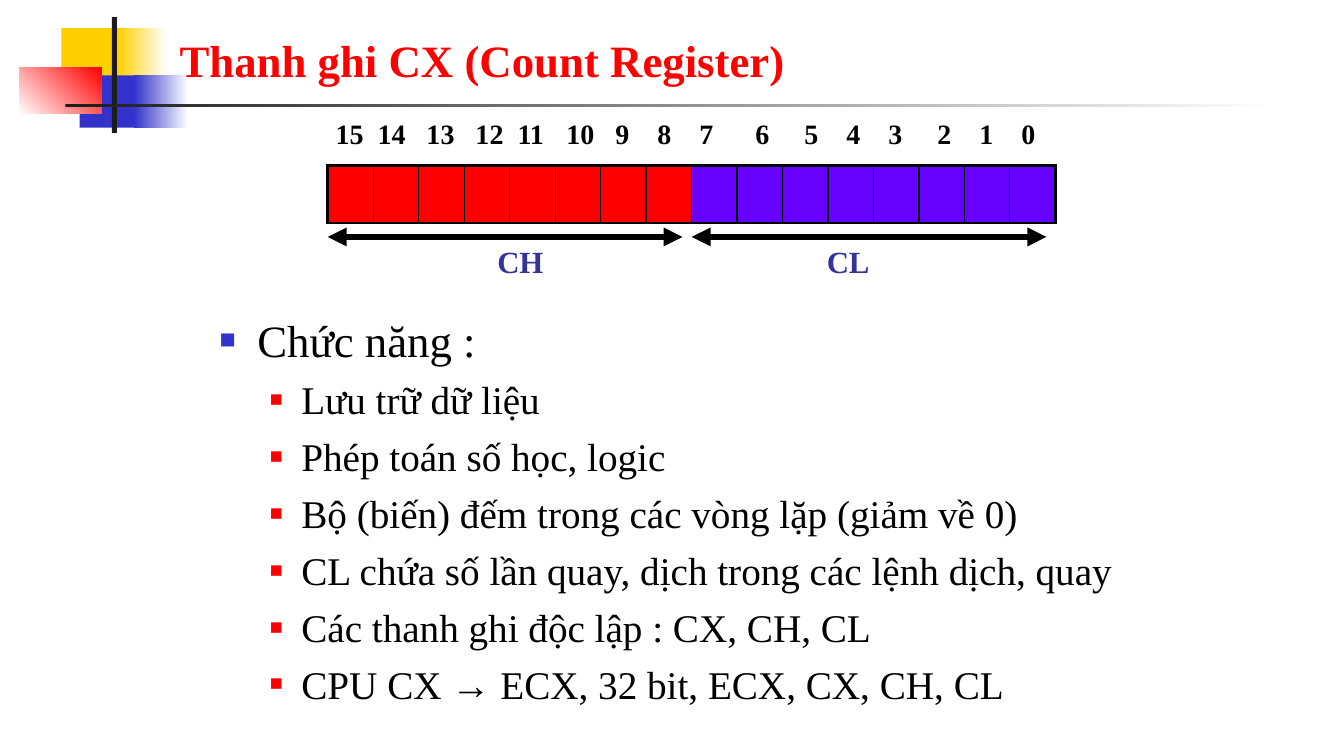
from dataclasses import dataclass
from lxml import etree
from pptx import Presentation
from pptx.dml.color import RGBColor
from pptx.enum import shapes, text
from pptx.oxml.ns import qn
from pptx.util import Cm, Pt

TITLE = "Thanh ghi CX (Count Register)"
BODY = [
    (0, "Chức năng :"),
    (1, "Lưu trữ dữ liệu"),
    (1, "Phép toán số học, logic"),
    (1, "Bộ (biến) đếm trong các vòng lặp (giảm về 0)"),
    (1, "CL chứa số lần quay, dịch trong các lệnh dịch, quay"),
    (1, "Các thanh ghi độc lập : CX, CH, CL"),
    (1, "CPU CX → ECX, 32 bit, ECX, CX, CH, CL"),
]
BIT_COLUMNS = {15: 1, 14: 7, 13: 14, 12: 21, 11: 27, 10: 34, 9: 41, 8: 47,
               7: 53, 6: 61, 5: 68, 4: 74, 3: 80, 2: 87, 1: 93, 0: 99}
HALVES = [("CH", 10.36), ("CL", 18.62)]


@dataclass(frozen=True)
class Theme:
    font: str = "Times New Roman"
    black: str = "000000"
    white: str = "FFFFFF"
    red: str = "FF0000"
    yellow: str = "FFCF01"
    blue: str = "3333CC"
    violet: str = "6600FF"
    label: str = "333399"
    dark: str = "1C1C1C"
    title_size: int = 32
    level_sizes: tuple = (32, 28)
    bit_size: int = 20
    label_size: int = 22


T = Theme()
LEVELS = [(0.95, -0.95, T.blue, 60), (2.06, -0.79, T.red, 55)]
DECOR = [
    ((1.55, 0.71, 1.63, 1.32), (T.yellow,), 0),
    ((2.97, 0.71, 1.22, 1.32), (T.yellow, T.white), 0),
    ((2.01, 1.9, 1.57, 1.32), (T.blue,), 0),
    ((3.38, 1.9, 1.37, 1.32), (T.blue, T.white), 0),
    ((0.48, 1.7, 2.08, 1.17), (T.white, T.red), 45),
    ((2.82, 0.43, 0.13, 2.92), (T.dark,), 0),
    ((1.65, 2.62, 30.48, 0.08), (T.dark, T.white), 0),
]
REG_LEFT, REG_TOP, REG_WIDTH, REG_HEIGHT = 8.26, 4.17, 18.34, 1.45
ARROW_Y, ARROW_LENGTH = 5.97, 8.94
THIN, THICK = 1, 2.25


def rgb(value):
    return RGBColor.from_string(value)


def sub(parent, tag, **attrs):
    return etree.SubElement(parent, qn(tag), {k: str(v) for k, v in attrs.items()})


def add_run(p, words, size, color, bold=False):
    r = p.add_run()
    r.text = words
    r.font.name = T.font
    r.font.size = Pt(size)
    r.font.bold = bold
    r.font.color.rgb = rgb(color)


def place(sp, left, top, width, height):
    sp.left, sp.top, sp.width, sp.height = map(Cm, (left, top, width, height))


def add_label_box(s, box):
    tf = s.shapes.add_textbox(*map(Cm, box)).text_frame
    tf.word_wrap = True
    return tf.paragraphs[0]


def add_decor(s):
    for box, colors, angle in DECOR:
        sp = s.shapes.add_shape(shapes.MSO_SHAPE.RECTANGLE, *map(Cm, box))
        sp.shadow.inherit = False
        sp.line.fill.background()
        if len(colors) == 1:
            sp.fill.solid()
            sp.fill.fore_color.rgb = rgb(colors[0])
        else:
            sp.fill.gradient()
            sp.fill.gradient_angle = angle
            for stop, color in zip(sp.fill.gradient_stops, colors):
                stop.color.rgb = rgb(color)
        s.shapes.title.element.addprevious(sp.element)


def add_title(s):
    title = s.shapes.title
    place(title, 4.27, 0.58, 28.85, 1.73)
    tf = title.text_frame
    tf.auto_size = text.MSO_AUTO_SIZE.NONE
    tf.vertical_anchor = text.MSO_ANCHOR.BOTTOM
    tf.paragraphs[0].alignment = text.PP_ALIGN.LEFT
    add_run(tf.paragraphs[0], TITLE, T.title_size, T.red, True)


def add_body(s):
    body = s.placeholders[1]
    place(body, 5.28, 7.74, 23.83, 10.59)
    tf = body.text_frame
    tf.auto_size = text.MSO_AUTO_SIZE.NONE
    for i, (level, words) in enumerate(BODY):
        p = tf.add_paragraph() if i else tf.paragraphs[0]
        margin, indent, color, percent = LEVELS[level]
        pPr = p._p.get_or_add_pPr()
        pPr.set("marL", str(Cm(margin)))
        pPr.set("indent", str(Cm(indent)))
        sub(sub(pPr, "a:buClr"), "a:srgbClr", val=color)
        sub(pPr, "a:buSzPct", val=percent * 1000)
        sub(pPr, "a:buFont", typeface=T.font)
        sub(pPr, "a:buChar", char="■")
        p.level = level
        p.space_before = Pt(7 if i else 0)
        add_run(p, words, T.level_sizes[level], T.black)


def add_register(s):
    count = len(BIT_COLUMNS)
    frame = s.shapes.add_table(1, count, *map(Cm, (REG_LEFT, REG_TOP, REG_WIDTH, REG_HEIGHT)))
    table = frame.table
    table.first_row = table.horz_banding = False
    for i, column in enumerate(table.columns):
        column.width = Cm(REG_WIDTH / count)
        cell = table.cell(0, i)
        tcPr = cell._tc.get_or_add_tcPr()
        widths = {"a:lnL": THIN if i else THICK,
                  "a:lnR": THIN if i < count - 1 else THICK,
                  "a:lnT": THICK, "a:lnB": THICK}
        for tag, width in widths.items():
            ln = sub(tcPr, tag, w=Pt(width))
            sub(sub(ln, "a:solidFill"), "a:srgbClr", val=T.black)
        cell.fill.solid()
        cell.fill.fore_color.rgb = rgb(T.red if i < count // 2 else T.violet)


def add_bit_numbers(s):
    p = add_label_box(s, (8.03, 2.82, 19.02, 1.09))
    tabs = sub(p._p.get_or_add_pPr(), "a:tabLst")
    for bit, column in BIT_COLUMNS.items():
        sub(tabs, "a:tab", pos=Pt(column * T.bit_size / 4), algn="l")
        add_run(p, f"\t{bit}", T.bit_size, T.black, True)


def add_halves(s):
    for i, (name, label_left) in enumerate(HALVES):
        left = REG_LEFT + i * REG_WIDTH / 2
        arrow = s.shapes.add_connector(
            shapes.MSO_CONNECTOR.STRAIGHT,
            *map(Cm, (left, ARROW_Y, left + ARROW_LENGTH, ARROW_Y)))
        arrow.line.width = Pt(4.5)
        arrow.line.color.rgb = rgb(T.black)
        spPr = arrow.element.spPr
        ln = spPr.find(qn("a:ln"))
        for end in ("a:headEnd", "a:tailEnd"):
            sub(ln, end, type="triangle")
        sub(spPr, "a:effectLst")
        p = add_label_box(s, (label_left, 6, 5.51, 1.19))
        p.alignment = text.PP_ALIGN.CENTER
        add_run(p, name, T.label_size, T.label, True)


def main():
    prs = Presentation()
    prs.slide_width, prs.slide_height = Cm(33.87), Cm(19.05)
    s = prs.slides.add_slide(prs.slide_layouts[1])
    add_decor(s)
    add_title(s)
    add_body(s)
    add_register(s)
    add_bit_numbers(s)
    add_halves(s)
    prs.save("out.pptx")


if __name__ == "__main__":
    main()
